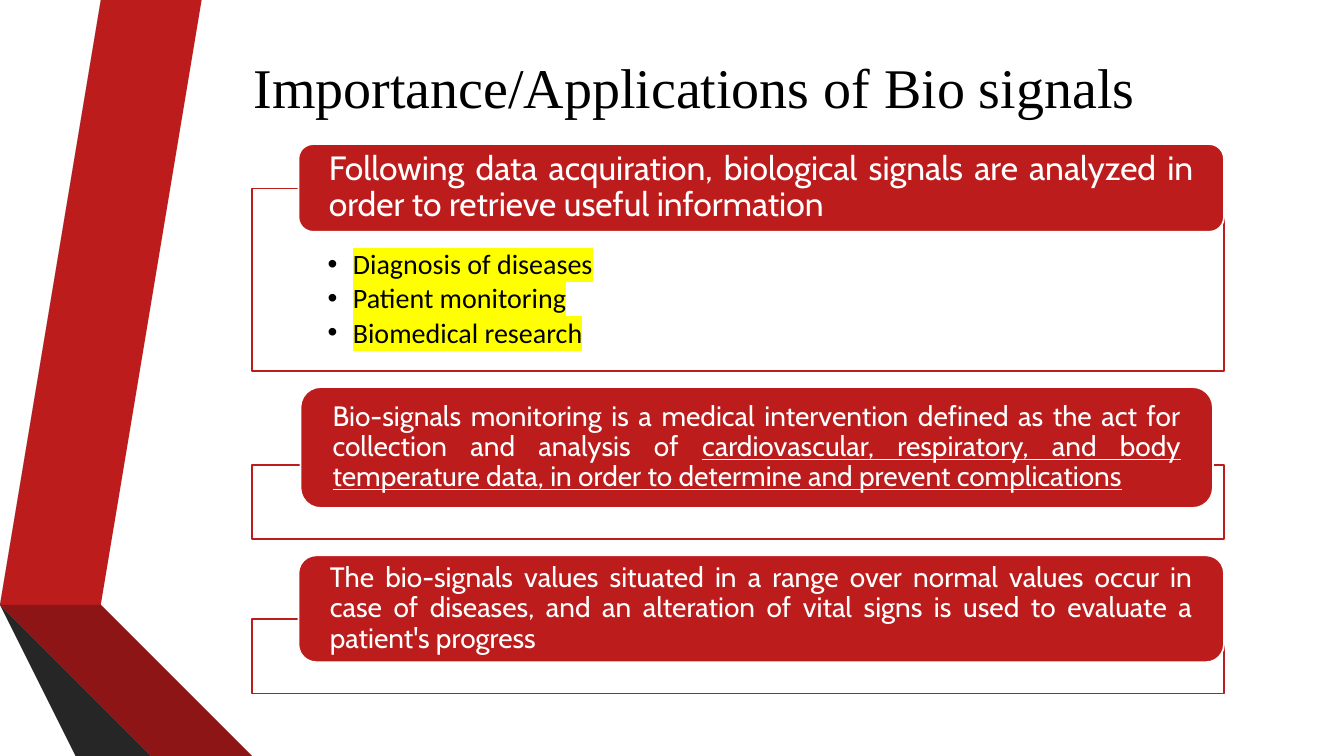
import dataclasses
import lxml.etree
import pptx
import pptx.dml.color
import pptx.enum.shapes
import pptx.enum.text
import pptx.oxml.ns
import pptx.util

Inches = pptx.util.Inches
Pt = pptx.util.Pt
Shape = pptx.enum.shapes.MSO_SHAPE
Align = pptx.enum.text.PP_ALIGN
Anchor = pptx.enum.text.MSO_ANCHOR


@dataclasses.dataclass(frozen=True)
class Theme:
    red: str = "BC1C1C"
    maroon: str = "8D1515"
    wine: str = "5E0E0E"
    gray: str = "595959"
    slate: str = "404040"
    coal: str = "262626"
    white: str = "FFFFFF"
    black: str = "000000"
    yellow: str = "FFFF00"
    head: str = "Times New Roman"
    body: str = "Cabin"
    list: str = "Calibri"
    title: int = 40
    lead: int = 24
    text: int = 20
    edge: float = 1.25


THEME = Theme()

RIBBONS = [
    (THEME.red, [(0.5, 5.78), (0.77, 5.83), (1.73, 0), (1.45, 0)]),
    (THEME.gray, [(1.39, 0), (1.11, 0), (0.16, 5.73), (0.44, 5.77)]),
    (THEME.coal, [(0.16, 5.73), (1.45, 7.5), (1.51, 7.5)]),
    (THEME.wine, [(0.5, 5.79), (2.08, 7.5), (2.14, 7.5)]),
    (THEME.maroon, [(0.5, 5.78), (2.14, 7.5), (2.83, 7.5), (0.77, 5.83)]),
    (THEME.slate, [(2.02, 7.5), (0.48, 5.83), (0.44, 5.77), (0.16, 5.73), (1.51, 7.5)]),
]

USES = ["Diagnosis of diseases", "Patient monitoring", "Biomedical research"]

PANELS = [
    (1.87, 1.81, USES, (2.96, 1.43, 9.18, 0.87), THEME.lead,
     "Following data acquiration, biological signals are analyzed in order to "
     "retrieve useful information", ""),
    (4.61, 0.74, [], (2.98, 3.84, 9.05, 1.2), THEME.text,
     "Bio-signals monitoring is a medical intervention defined as the act for "
     "collection and analysis of ",
     "cardiovascular, respiratory, and body temperature data, in order to "
     "determine and prevent complications"),
    (6.14, 0.74, [], (2.96, 5.51, 9.18, 1.06), THEME.text,
     "The bio-signals values situated in a range over normal values occur in "
     "case of diseases, and an alteration of vital signs is used to evaluate "
     "a patient's progress", ""),
]


def rgb(color):
    return pptx.dml.color.RGBColor.from_string(color)


def add_tag(parent, tag, **attrs):
    return lxml.etree.SubElement(parent, pptx.oxml.ns.qn(tag), **attrs)


def set_font(para, name, size, color):
    para.font.name = name
    para.font.size = Pt(size)
    para.font.color.rgb = rgb(color)


def set_frame(frame, margins, anchor):
    frame.word_wrap = True
    frame.vertical_anchor = anchor
    (frame.margin_left, frame.margin_top,
     frame.margin_right, frame.margin_bottom) = map(Inches, margins)


def set_para(para, after):
    para.alignment = Align.JUSTIFY
    para.line_spacing = 0.9
    para.space_after = Pt(after)


def add_ribbon(slide, color, points):
    form = slide.shapes.build_freeform(*points[0], scale=Inches(1))
    form.add_line_segments(points[1:], close=True)
    ribbon = form.convert_to_shape()
    ribbon.shadow.inherit = False
    ribbon.fill.solid()
    ribbon.fill.fore_color.rgb = rgb(color)
    ribbon.line.fill.background()


def add_box(slide, kind, place, fill, line):
    box = slide.shapes.add_shape(kind, *map(Inches, place))
    box.shadow.inherit = False
    box.fill.solid()
    box.fill.fore_color.rgb = rgb(fill)
    box.line.color.rgb = rgb(line)
    box.line.width = Pt(THEME.edge)
    return box


def add_bullet(para, text):
    props = para._p.get_or_add_pPr()
    props.set("marL", str(Inches(0.25)))
    props.set("indent", str(Inches(-0.25)))
    add_tag(props, "a:buFont", typeface="Arial")
    add_tag(props, "a:buChar", char="•")
    set_para(para, 3)
    set_font(para, THEME.list, THEME.text, THEME.black)
    run = para.add_run()
    run.text = text
    mark = add_tag(run._r.get_or_add_rPr(), "a:highlight")
    add_tag(mark, "a:srgbClr", val=THEME.yellow)


def add_frame(slide, top, height, items):
    box = add_box(slide, Shape.RECTANGLE, (2.5, top, 9.64, height),
                  THEME.white, THEME.red)
    color = box.fill._xPr.find(".//" + pptx.oxml.ns.qn("a:srgbClr"))
    add_tag(color, "a:alpha", val="90000")
    frame = box.text_frame
    set_frame(frame, (0.75, 0.61, 0.75, 0.16), Anchor.TOP)
    for index, item in enumerate(items):
        para = frame.add_paragraph() if index else frame.paragraphs[0]
        add_bullet(para, item)


def add_banner(slide, place, size, plain, under):
    box = add_box(slide, Shape.ROUNDED_RECTANGLE, place, THEME.red, THEME.white)
    set_frame(box.text_frame, (0.26, 0, 0.26, 0), Anchor.MIDDLE)
    para = box.text_frame.paragraphs[0]
    set_para(para, 0)
    set_font(para, THEME.body, size, THEME.white)
    para.add_run().text = plain
    if under:
        run = para.add_run()
        run.text = under
        run.font.underline = True


def set_title(slide, text):
    title = slide.shapes.title
    title.left, title.top, title.width, title.height = map(
        Inches, (1.62, 0.41, 10.53, 1.03))
    set_frame(title.text_frame, (0.1, 0.11, 0.1, 0.05), Anchor.TOP)
    para = title.text_frame.paragraphs[0]
    para.text = text
    para.alignment = Align.CENTER
    set_font(para, THEME.head, THEME.title, THEME.black)


def main():
    deck = pptx.Presentation()
    deck.slide_width = Inches(13.33)
    deck.slide_height = Inches(7.5)
    slide = deck.slides.add_slide(deck.slide_layouts[5])
    set_title(slide, "Importance/Applications of Bio signals")
    for color, points in RIBBONS:
        add_ribbon(slide, color, points)
    for top, height, items, place, size, plain, under in PANELS:
        add_frame(slide, top, height, items)
        add_banner(slide, place, size, plain, under)
    deck.save("out.pptx")


if __name__ == "__main__":
    main()
